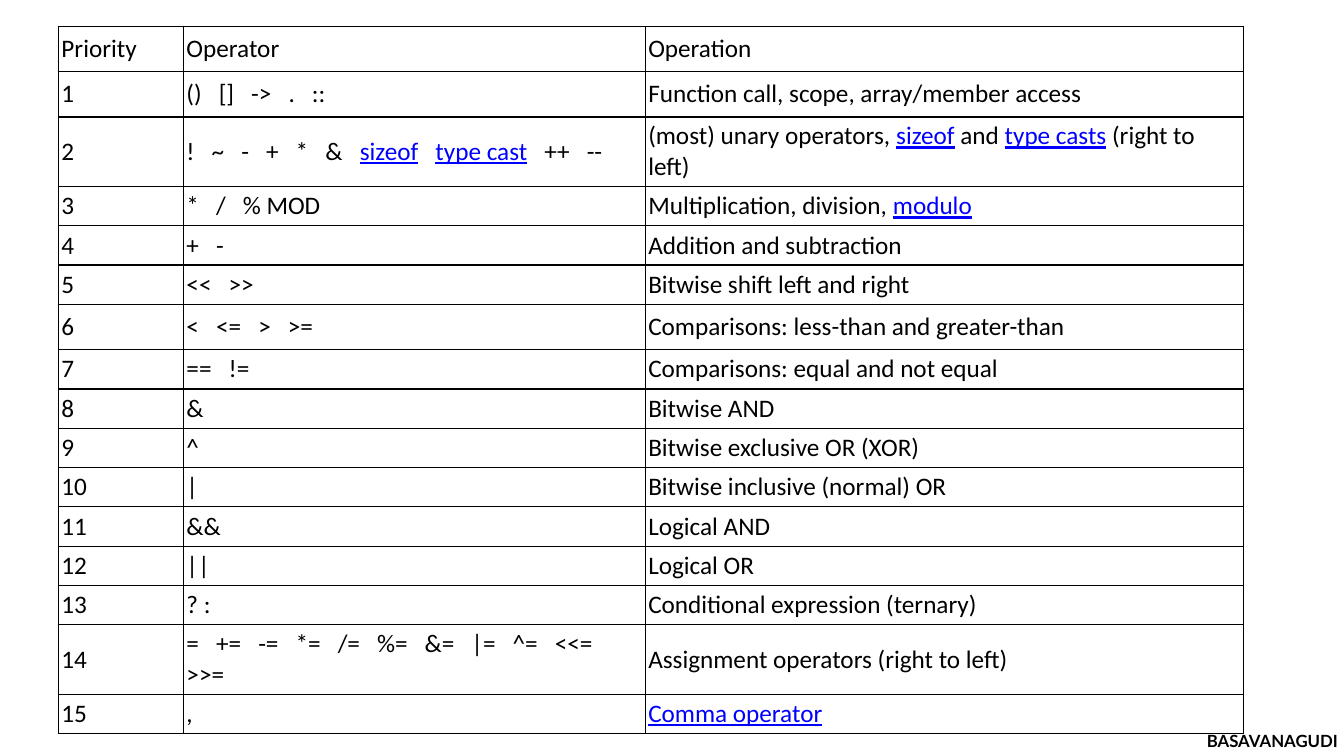
from lxml.etree import SubElement
from pptx import Presentation
from pptx.dml.color import RGBColor
from pptx.enum.text import MSO_ANCHOR, PP_ALIGN
from pptx.oxml.ns import qn
from pptx.util import Inches, Pt

BLACK = RGBColor(0x00, 0x00, 0x00)
LINK_BLUE = RGBColor(0x00, 0x00, 0xFF)
GAP = f" {chr(160)} "
LINKED = {"sizeof", "type cast", "type casts", "modulo", "Comma operator"}
INSET = Inches(0.03)
INSETS = dict.fromkeys(
    ("margin_left", "margin_top", "margin_right", "margin_bottom"), INSET)

COLUMN_WIDTHS = (1.24, 4.58, 5.93)
ROW_HEIGHT = 0.39
SPECIAL_HEIGHTS = {0: 0.45, 1: 0.45, 2: 0.69, 6: 0.45, 14: 0.69}

# Operators of one priority, then the pieces of text that describe them
PRECEDENCE = [
    (["()", "[]", "->", ".", "::"], ["Function call, scope, array/member access"]),
    (["!", "~", "-", "+", "*", "&", "sizeof", "type cast", "++", "--"],
     ["(most) unary operators, ", "sizeof", " and ", "type casts", " (right to left)"]),
    (["*", "/", "% MOD"], ["Multiplication, division, ", "modulo"]),
    (["+", "-"], ["Addition and subtraction"]),
    (["<<", ">>"], ["Bitwise shift left and right"]),
    (["<", "<=", ">", ">="], ["Comparisons: less-than and greater-than"]),
    (["==", "!="], ["Comparisons: equal and not equal"]),
    (["&"], ["Bitwise AND"]),
    (["^"], ["Bitwise exclusive OR (XOR)"]),
    (["|"], ["Bitwise inclusive (normal) OR"]),
    (["&&"], ["Logical AND"]),
    (["||"], ["Logical OR"]),
    (["? :"], ["Conditional expression (ternary)"]),
    (["=", "+=", "-=", "*=", "/=", "%=", "&=", "|=", "^=", "<<=", ">>="],
     ["Assignment operators (right to left)"]),
    ([","], ["Comma operator"]),
]


def add_text(paragraph, text, **font_format):
    run = paragraph.add_run()
    run.text = text
    run.font.color.rgb = LINK_BLUE if text in LINKED else BLACK
    for attribute, value in font_format.items():
        setattr(run.font, attribute, value)


def draw_borders(cell):
    """Put a thin black line on all four sides, ahead of the cell's fill."""
    properties = cell._tc.get_or_add_tcPr()
    for position, side in enumerate(("lnL", "lnR", "lnT", "lnB")):
        line = SubElement(properties, qn(f"a:{side}"), w=str(Pt(1)))
        color = SubElement(SubElement(line, qn("a:solidFill")), qn("a:srgbClr"))
        color.set("val", str(BLACK))
        properties.insert(position, line)


presentation = Presentation()
presentation.slide_width = Inches(13.33)
presentation.slide_height = Inches(7.5)
slide = presentation.slides.add_slide(presentation.slide_layouts[6])

rows = [(["Priority"], ["Operator"], ["Operation"])]
for priority, (operators, operation) in enumerate(PRECEDENCE, start=1):
    spaced = [piece for operator in operators for piece in (GAP, operator)][1:]
    rows.append(([str(priority)], spaced, operation))

heights = [SPECIAL_HEIGHTS.get(row, ROW_HEIGHT) for row in range(len(rows))]
precedence_table = slide.shapes.add_table(
    len(rows), len(COLUMN_WIDTHS), Inches(0.58), Inches(0.26),
    Inches(sum(COLUMN_WIDTHS)), Inches(sum(heights))).table
precedence_table.first_row = False
precedence_table.horz_banding = False
for column, width in zip(precedence_table.columns, COLUMN_WIDTHS):
    column.width = Inches(width)

for table_row, height, contents in zip(precedence_table.rows, heights, rows):
    table_row.height = Inches(height)
    for cell, pieces in zip(table_row.cells, contents):
        for attribute, value in INSETS.items():
            setattr(cell, attribute, value)
        cell.vertical_anchor = MSO_ANCHOR.MIDDLE
        cell.fill.background()
        draw_borders(cell)
        for piece in pieces:
            add_text(cell.text_frame.paragraphs[0], piece, name="Calibri",
                     size=Pt(18), underline=piece in LINKED)

place = slide.shapes.add_textbox(
    Inches(11.63), Inches(7.22), Inches(1.98), Inches(0.26)).text_frame
for attribute, value in {**INSETS, "word_wrap": True}.items():
    setattr(place, attribute, value)
place.paragraphs[0].alignment = PP_ALIGN.CENTER
add_text(place.paragraphs[0], "BASAVANAGUDI", name="Lato", size=Pt(12), bold=True)

presentation.save("out.pptx")
